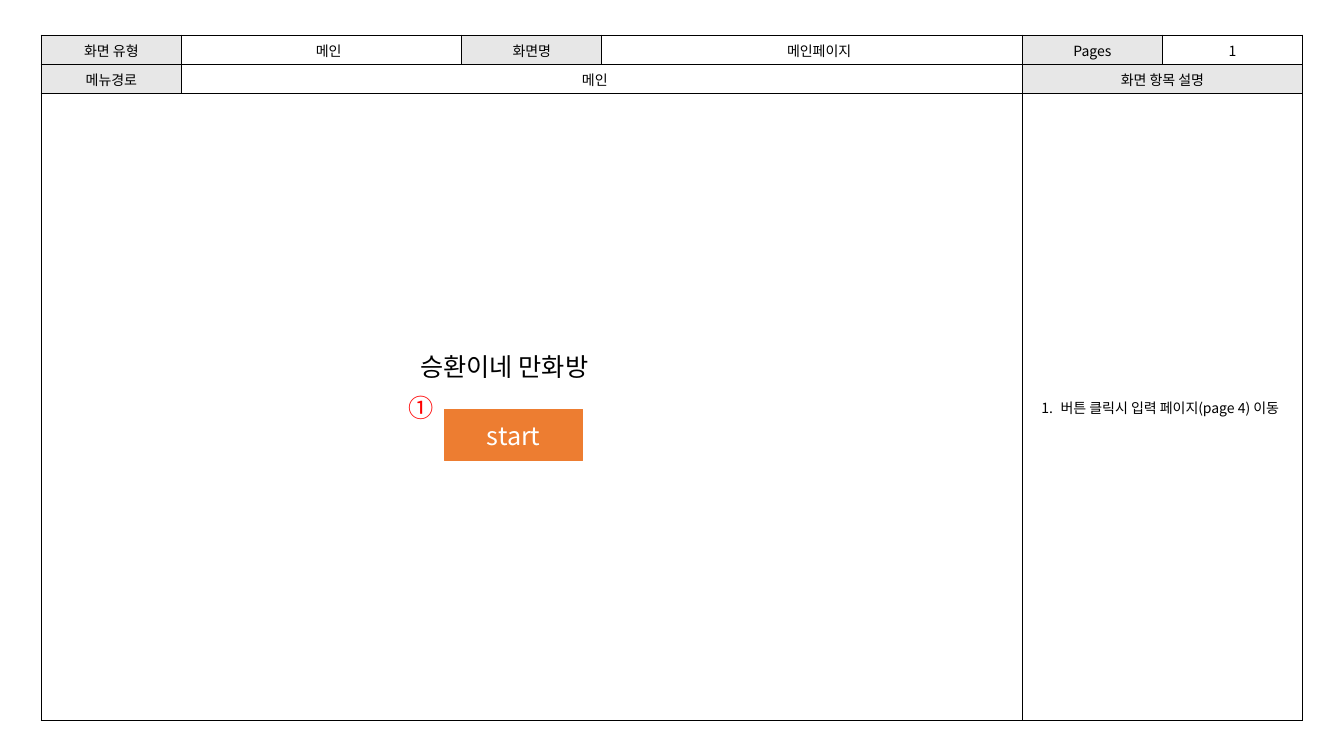
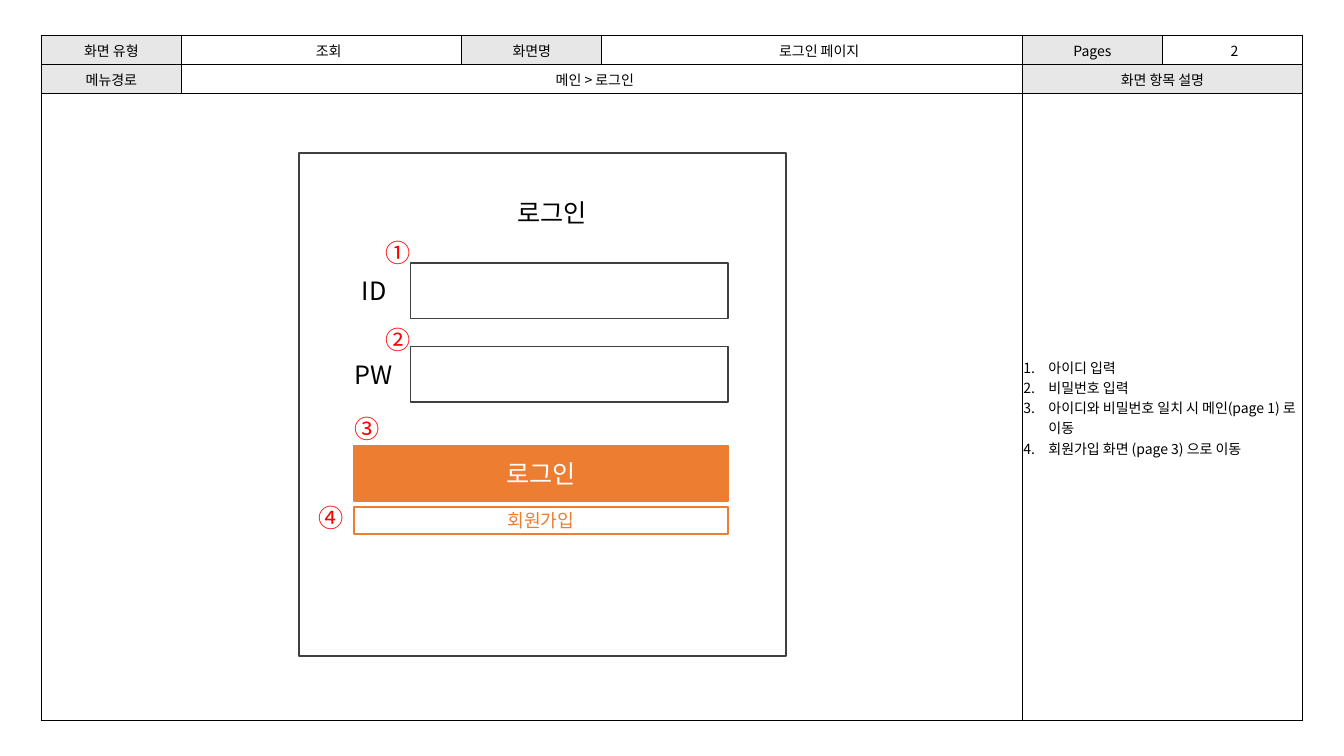
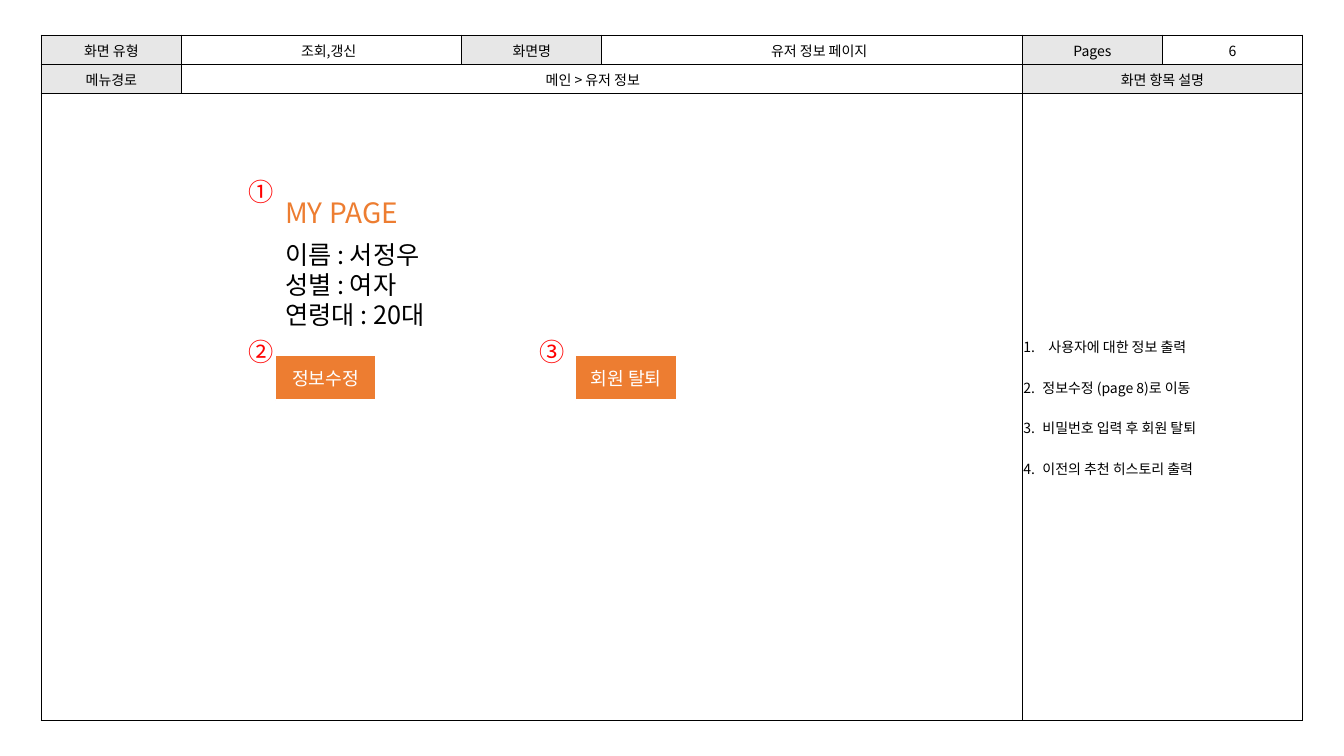
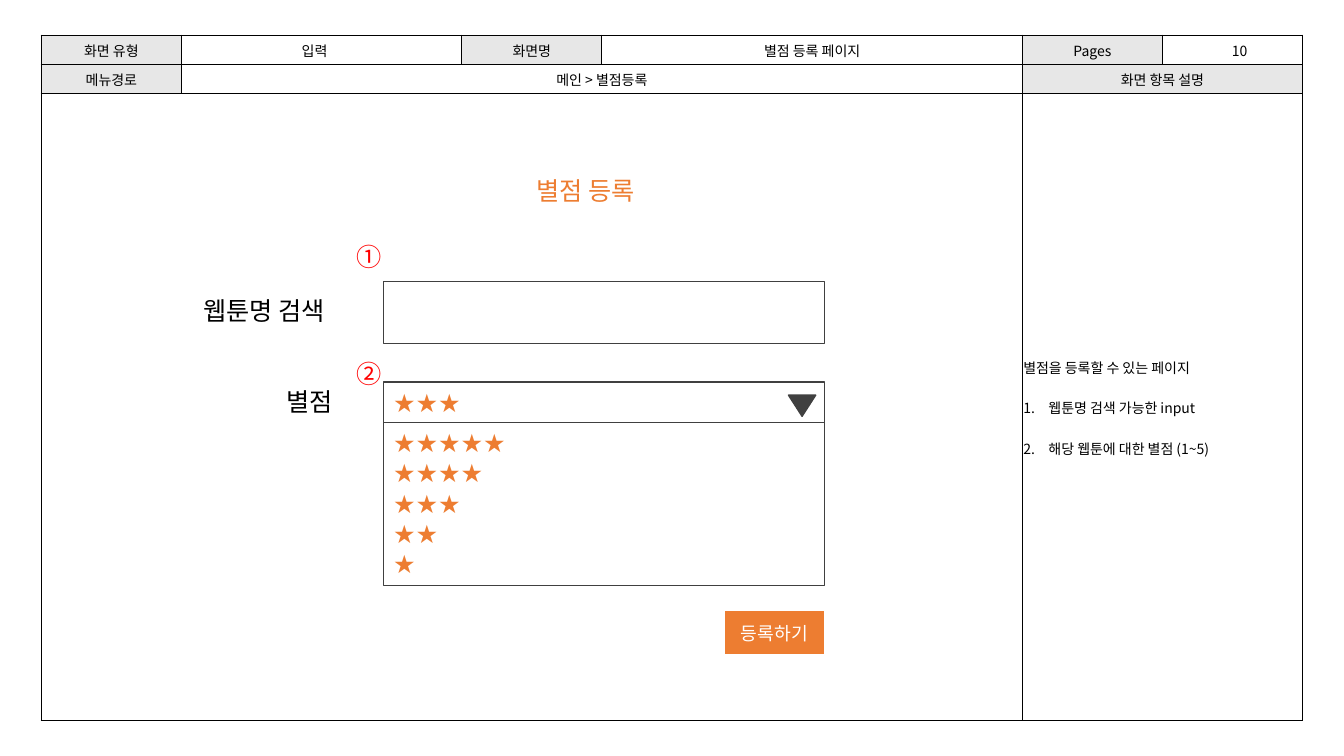
from pptx import Presentation
from pptx.dml.color import RGBColor
from pptx.enum.shapes import MSO_SHAPE
from pptx.enum.text import MSO_ANCHOR, MSO_AUTO_SIZE, PP_ALIGN
from pptx.oxml.ns import qn
from pptx.util import Inches, Pt
from lxml.etree import SubElement

COLORS = {"black": "000000", "white": "FFFFFF", "label": "E7E7E7",
          "orange": "ED7D31", "outline": "404040", "red": "FF0000"}
FONT = "Noto Sans CJK KR"
LINE_HEIGHT = 1.2

# Sheet grid shared by all screens
SHEET_LEFT, SHEET_TOP = 0.41, 0.35
COLUMN = 1.39
COLUMN_SPANS = [1, 2, 1, 3, 1, 1]
ROW_HEIGHTS = [0.29, 0.29, 6.22]
MERGES = [((1, 1), (1, 3)), ((1, 4), (1, 5)), ((2, 0), (2, 3)), ((2, 4), (2, 5))]
LABELS = {(0, 0): "화면 유형", (0, 2): "화면명", (0, 4): "Pages",
          (1, 0): "메뉴경로", (1, 4): "화면 항목 설명"}
VALUE_CELLS = {"type": (0, 1), "name": (0, 3), "page": (0, 5), "menu": (1, 1)}
NOTES_CELL = (2, 4)
CELL_INSET = 0.01
NOTE_GAP = 14.5

# Looks of the wireframe parts
STYLES = {
    "label": {},
    "title": {"color": "orange"},
    "heading": {"color": "orange", "size": 20},
    "marker": {"color": "red"},
    "frame": {"shape": MSO_SHAPE.RECTANGLE, "line": "outline", "line_width": 1.5},
    "field": {"shape": MSO_SHAPE.RECTANGLE, "line": "outline"},
    "thin field": {"shape": MSO_SHAPE.RECTANGLE, "line": "outline", "line_width": 0.75},
    "stars": {"shape": MSO_SHAPE.RECTANGLE, "line": "outline", "line_width": 0.75,
              "color": "orange", "font": "Calibri", "bold": True},
    "button": {"shape": MSO_SHAPE.RECTANGLE, "fill": "orange", "line": "orange",
               "color": "white", "align": PP_ALIGN.CENTER, "anchor": MSO_ANCHOR.MIDDLE},
    "small button": {"shape": MSO_SHAPE.RECTANGLE, "fill": "orange", "line": "white",
                     "color": "white", "size": 13, "align": PP_ALIGN.CENTER,
                     "anchor": MSO_ANCHOR.MIDDLE},
    "outline button": {"shape": MSO_SHAPE.RECTANGLE, "line": "orange", "color": "orange",
                       "size": 13, "align": PP_ALIGN.CENTER, "anchor": MSO_ANCHOR.MIDDLE},
    "arrow": {"shape": MSO_SHAPE.ISOSCELES_TRIANGLE, "fill": "outline",
              "line": "outline", "rotation": 180},
}
MARKER_SIZE = (0.45, 0.4)
SMALL_BUTTON = (1, 0.44)
LOGIN_FIELD = (3.15, 0.55)
RATING_LEFT, RATING_WIDTH = 3.8, 4.38

# Header values: (text, offset), a positive offset pads the left side.
# Notes: (text, hanging indent), no indent means no number.
# Parts: (style, lines, left, top, width, height[, overrides])
SCREENS = [
    {
        "header": {"type": ("메인", 0.14), "name": ("메인페이지", 0.14),
                   "page": ("1", 0), "menu": ("메인", -0.14)},
        "notes": [("버튼 클릭시 입력 페이지(page 4) 이동", 0.19)],
        "notes_offset": 0.18,
        "parts": [
            ("label", ["승환이네 만화방"], 4.07, 3.44, 2.04, 0.4, {"wrap": True}),
            ("button", ["start"], 4.41, 4.06, 1.37, 0.51),
            ("marker", ["①"], 3.95, 3.84, *MARKER_SIZE),
        ],
    },
    {
        "header": {"type": ("조회", 0.14), "name": ("로그인 페이지", 0.14),
                   "page": ("2", 0.04), "menu": ("메인 > 로그인", -0.14)},
        "notes": [("아이디 입력", 0.25), ("비밀번호 입력", 0.25),
                  ("아이디와 비밀번호 일치 시 메인(page 1) 로 이동", 0.25),
                  ("회원가입 화면 (page 3) 으로 이동", 0.25)],
        "parts": [
            ("frame", [], 2.97, 1.52, 4.83, 4.99),
            ("field", [], 4.07, 2.61, *LOGIN_FIELD),
            ("button", ["로그인"], 3.51, 4.42, 3.71, 0.55),
            ("outline button", ["회원가입"], 3.51, 5.03, 3.71, 0.27),
            ("field", [], 4.07, 3.44, *LOGIN_FIELD),
            ("label", ["ID"], 3.49, 2.68, 0.45, 0.4),
            ("label", ["PW"], 3.42, 3.52, 0.59, 0.4),
            ("marker", ["①"], 3.72, 2.31, *MARKER_SIZE),
            ("marker", ["②"], 3.72, 3.17, *MARKER_SIZE),
            ("marker", ["③"], 3.42, 4.05, *MARKER_SIZE),
            ("marker", ["④"], 3.06, 4.93, *MARKER_SIZE),
            ("label", ["로그인"], 3.72, 1.91, 3.51, 0.4,
             {"wrap": True, "align": PP_ALIGN.CENTER}),
        ],
    },
    {
        "header": {"type": ("조회,갱신", 0.14), "name": ("유저 정보 페이지", 0.14),
                   "page": ("6", 0), "menu": ("메인 > 유저 정보", -0.18)},
        "notes": [("사용자에 대한 정보 출력", 0.25), ("정보수정 (page 8)로 이동", 0.19),
                  ("비밀번호 입력 후 회원 탈퇴", 0.19), ("이전의 추천 히스토리 출력", 0.19)],
        "note_gap": NOTE_GAP,
        "parts": [
            ("label", ["이름 : 서정우", "성별 : 여자", "연령대 : 20대"], 2.73, 2.32, 1.72, 1.01),
            ("heading", ["MY PAGE"], 2.73, 1.89, 1.37, 0.44),
            ("small button", ["정보수정"], 2.73, 3.53, *SMALL_BUTTON),
            ("small button", ["회원 탈퇴"], 5.71, 3.53, *SMALL_BUTTON),
            ("marker", ["①"], 2.37, 1.7, *MARKER_SIZE),
            ("marker", ["②"], 2.37, 3.29, *MARKER_SIZE),
            ("marker", ["③"], 5.25, 3.29, *MARKER_SIZE),
        ],
    },
    {
        "header": {"type": ("입력", -0.14), "name": ("별점 등록 페이지", 0),
                   "page": ("10", 0.14), "menu": ("메인 > 별점등록", 0)},
        "notes": [("별점을 등록할 수 있는 페이지", 0), ("웹툰명 검색 가능한 input", 0.25),
                  ("해당 웹툰에 대한 별점 (1~5)", 0.25)],
        "note_gap": NOTE_GAP,
        "parts": [
            ("label", ["웹툰명 검색"], 1.92, 2.88, 1.64, 0.4, {"wrap": True}),
            ("stars", ["★" * count for count in range(5, 0, -1)],
             RATING_LEFT, 4.19, RATING_WIDTH, 1.62),
            ("stars", ["★" * 3], RATING_LEFT, 3.79, RATING_WIDTH, 0.4),
            ("arrow", [], 7.82, 3.92, 0.27, 0.21),
            ("label", ["별점"], 2.74, 3.78, 1.39, 0.4, {"wrap": True}),
            ("thin field", [], RATING_LEFT, 2.79, RATING_WIDTH, 0.62),
            ("small button", ["등록하기"], 7.18, 6.06, *SMALL_BUTTON),
            ("title", ["별점 등록"], 5.22, 1.69, 1.3, 0.4),
            ("marker", ["①"], 3.44, 2.34, *MARKER_SIZE),
            ("marker", ["②"], 3.44, 3.51, *MARKER_SIZE),
        ],
    },
]


def rgb(name):
    return RGBColor.from_string(COLORS[name])


def write(frame, lines, size=18, color="black", font=FONT, bold=False,
          align=PP_ALIGN.LEFT, line_height=None, gap=0, hangs=()):
    """Fill a text frame, one paragraph a line; hangs numbers the paragraphs."""
    for index, text in enumerate(lines):
        paragraph = frame.add_paragraph() if index else frame.paragraphs[0]
        paragraph.alignment = align
        if line_height:
            paragraph.line_spacing = Pt(size * line_height)
        if gap and index:
            paragraph.space_before = Pt(gap)
        if hangs and hangs[index]:
            properties = paragraph._p.get_or_add_pPr()
            properties.set("marL", str(Inches(hangs[index])))
            properties.set("indent", str(-Inches(hangs[index])))
            SubElement(properties, qn("a:buAutoNum"), type="arabicPeriod")
        run = paragraph.add_run()
        run.text = text
        run.font.size = Pt(size)
        run.font.bold = bold
        run.font.color.rgb = rgb(color)
        run.font.name = font
        SubElement(run._r.get_or_add_rPr(), qn("a:ea"), typeface=font)


def style_cell(cell, fill, offset=0):
    cell.vertical_anchor = MSO_ANCHOR.MIDDLE
    cell.margin_left = Inches(CELL_INSET + max(offset, 0))
    cell.margin_right = Inches(CELL_INSET + max(-offset, 0))
    cell.margin_top, cell.margin_bottom = Inches(CELL_INSET), 0
    properties = cell._tc.get_or_add_tcPr()
    for side in ("lnL", "lnR", "lnT", "lnB"):
        border = SubElement(properties, qn("a:" + side), w=str(Pt(1)))
        SubElement(SubElement(border, qn("a:solidFill")), qn("a:srgbClr"), val=COLORS["black"])
    cell.fill.solid()
    cell.fill.fore_color.rgb = rgb(fill)


def add_sheet(slide, screen):
    """Draw the specification table: header rows, screen area and notes."""
    graphic = slide.shapes.add_table(
        len(ROW_HEIGHTS), len(COLUMN_SPANS), Inches(SHEET_LEFT), Inches(SHEET_TOP),
        Inches(COLUMN * sum(COLUMN_SPANS)), Inches(sum(ROW_HEIGHTS)))
    table = graphic.table
    table.first_row = table.horz_banding = False
    for column, span in zip(table.columns, COLUMN_SPANS):
        column.width = Inches(COLUMN * span)
    for row, height in zip(table.rows, ROW_HEIGHTS):
        row.height = Inches(height)
    for first, last in MERGES:
        table.cell(*first).merge(table.cell(*last))

    contents = {place: (text, 0) for place, text in LABELS.items()}
    contents.update({VALUE_CELLS[key]: value for key, value in screen["header"].items()})
    for row in range(len(ROW_HEIGHTS)):
        for column in range(len(COLUMN_SPANS)):
            place, cell = (row, column), table.cell(row, column)
            fill = "label" if place in LABELS else "white"
            if place == NOTES_CELL:
                style_cell(cell, fill, screen.get("notes_offset", 0))
                lines, hangs = zip(*screen["notes"])
                write(cell.text_frame, lines, size=10, hangs=hangs,
                      gap=screen.get("note_gap", 0))
            else:
                text, offset = contents.get(place, ("", 0))
                style_cell(cell, fill, offset)
                write(cell.text_frame, [text], size=10, align=PP_ALIGN.CENTER)


def add_part(slide, style, lines, left, top, width, height, overrides=None):
    """Draw one wireframe part: a text box, or a preset shape with text."""
    look = {**STYLES[style], **(overrides or {})}
    preset = look.pop("shape", None)
    fill, line = look.pop("fill", None), look.pop("line", None)
    line_width, rotation = look.pop("line_width", 1), look.pop("rotation", 0)
    anchor = look.pop("anchor", MSO_ANCHOR.TOP)
    wrap = look.pop("wrap", preset is not None)
    box = [Inches(value) for value in (left, top, width, height)]
    if preset is None:
        shape = slide.shapes.add_textbox(*box)
    else:
        shape = slide.shapes.add_shape(preset, *box)
        shape.shadow.inherit = False
        shape.rotation = rotation
        shape.line.color.rgb = rgb(line)
        shape.line.width = Pt(line_width)
        if fill:
            shape.fill.solid()
            shape.fill.fore_color.rgb = rgb(fill)
        else:
            shape.fill.background()
    frame = shape.text_frame
    frame.word_wrap = wrap
    frame.vertical_anchor = anchor
    if not wrap:
        frame.auto_size = MSO_AUTO_SIZE.SHAPE_TO_FIT_TEXT
    write(frame, lines, line_height=LINE_HEIGHT, **look)


def main():
    presentation = Presentation()
    presentation.slide_width, presentation.slide_height = Inches(13.33), Inches(7.5)
    for screen in SCREENS:
        slide = presentation.slides.add_slide(presentation.slide_layouts[6])
        add_sheet(slide, screen)
        for part in screen["parts"]:
            add_part(slide, *part)
    presentation.save("out.pptx")


if __name__ == "__main__":
    main()
